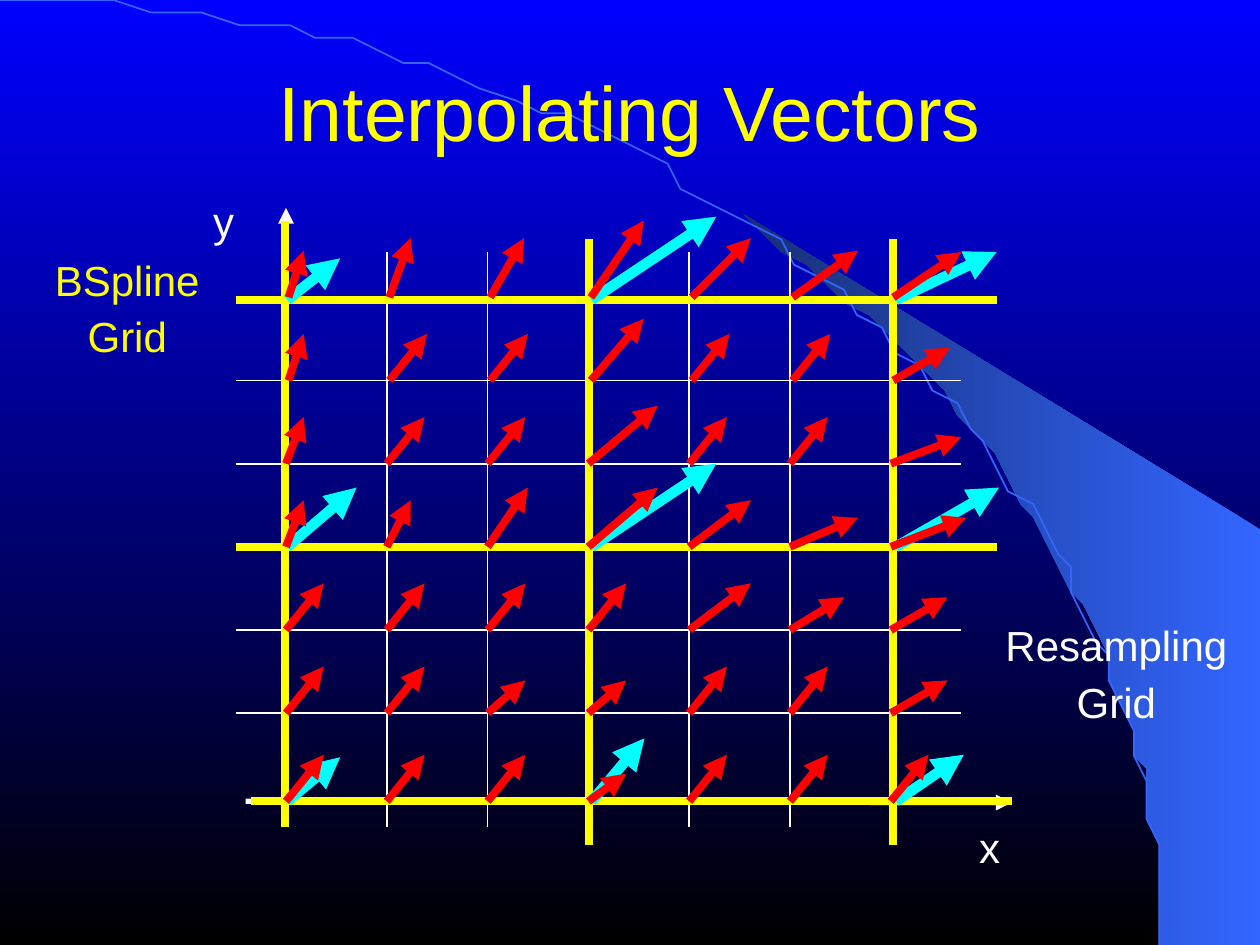
import math
from lxml import etree
from pptx import Presentation, util as u
from pptx.dml.color import RGBColor
from pptx.enum import shapes, text
from pptx.oxml import ns

WIDTH, HEIGHT = 100, 75
UNIT = u.Inches(10) / WIDTH
WHITE, YELLOW, CYAN, RED, BLUE = "FFFFFF", "FFFF00", "00FFFF", "FF0000", "3366FF"
SHORT, FLAT, LOW = (3, 3.7), (4.5, 2.6), (3, 2.6)

SAMPLES = [
    [(1.2, 3.7), (1.7, 4.7), (2.7, 4.7), (4.2, 6.1), (4.7, 4.7), (5.2, 3.7), (5.4, 3.6)],
    [(1.2, 3.7), SHORT, SHORT, (4.2, 4.9), SHORT, SHORT, FLAT],
    [(1.4, 3.7), SHORT, SHORT, (5.5, 4.6), SHORT, SHORT, (5.6, 2.1)],
    [(1.4, 3.7), (1.9, 3.7), (3.2, 4.7), (5.5, 4.7), (4.9, 3.7), (5.4, 2.3), (6, 2.3)],
    [SHORT, SHORT, SHORT, SHORT, (4.9, 3.7), (4.3, 2.6), FLAT],
    [SHORT, SHORT, LOW, LOW, SHORT, SHORT, FLAT],
    [SHORT, SHORT, SHORT, (3, 2.2), SHORT, SHORT, SHORT],
]
CONTROLS = [
    [(4.2, 3.3), (9.9, 6.6), (8, 3.8)],
    [(5.5, 4.7), (9.9, 6.6), (8.2, 4.7)],
    [(4.2, 3.5), (4.2, 5), (5.4, 3.7)],
]


def length(n):
    return u.Emu(round(n * UNIT))


def rgb(color):
    return RGBColor.from_string(color)


def gradient(fill, start, end, angle):
    fill.gradient()
    fill.gradient_angle = angle
    for stop, color in zip(fill.gradient_stops, (start, end)):
        stop.color.rgb = rgb(color)


def add_text(s, box, lines, size=24, color=WHITE, spacing=None, before=0, margins=(1, 0.5),
             anchor=text.MSO_ANCHOR.TOP):
    tf = s.shapes.add_textbox(*map(length, box)).text_frame
    tf.word_wrap = True
    tf.vertical_anchor = anchor
    tf.margin_left = tf.margin_right = length(margins[0])
    tf.margin_top = tf.margin_bottom = length(margins[1])
    for i, line in enumerate(lines):
        p = tf.add_paragraph() if i else tf.paragraphs[0]
        p.alignment = text.PP_ALIGN.CENTER
        p.line_spacing = spacing
        p.space_before = u.Pt(before)
        r = p.add_run()
        r.text = line
        r.font.name, r.font.size = "Arial", u.Pt(size)
        r.font.color.rgb = rgb(color)


def add_line(s, start, end, color, width, arrow=False):
    c = s.shapes.add_connector(shapes.MSO_CONNECTOR.STRAIGHT, *map(length, (*start, *end)))
    c.line.color.rgb = rgb(color)
    c.line.width = u.Pt(width)
    if arrow:
        etree.SubElement(c.line._get_or_add_ln(), ns.qn("a:tailEnd"), type="triangle")
    etree.SubElement(c._element.spPr, ns.qn("a:effectLst"))


def add_vector(s, x, y, vector, color, width):
    dx, dy = vector
    add_line(s, (x, y), (x + dx, y - dy), color, width, arrow=True)


def add_outline(s, points, close):
    builder = s.shapes.build_freeform(*points[0], scale=UNIT)
    builder.add_line_segments(points[1:], close=close)
    sp = builder.convert_to_shape()
    sp.shadow.inherit = False
    return sp


def backdrop(s, box):
    x, y, w, h = box

    def arc(degrees, steps):
        angles = [math.radians(degrees * i / steps) for i in range(steps + 1)]
        return [(x + w * math.cos(a), y + h * (1 - math.sin(a))) for a in angles]

    gradient(s.background.fill, "0000FF", "000000", 270)
    edge = arc(50.2, 34)
    beam = add_outline(s, edge + [(99.9, 42.3), (99.9, y + h)], True)
    gradient(beam.fill, BLUE, "172F75", 180)
    beam.line.fill.background()
    curve = add_outline(s, arc(90, 62), False)
    curve.fill.background()
    curve.line.color.rgb = rgb(BLUE)
    curve.line.width = u.Pt(1)


def resampling_grid(s, box):
    x, y, w, h = box
    right, bottom = x + w, y + h
    add_line(s, (x, bottom + 2), (x, y - 7.1), WHITE, 3, arrow=True)
    add_line(s, (x - 3.2, bottom), (right + 9.6, bottom + 0.1), WHITE, 3, arrow=True)
    columns, rows = nodes(box)
    for row in rows[:-1]:
        add_line(s, (x - 4, row), (right + 5.6, row), WHITE, 1)
    for column in columns[1:]:
        add_line(s, (column, y - 3.6), (column, bottom + 2), WHITE, 1)


def nodes(box):
    x, y, w, h = box
    rows = [y + h * 0.165 * i for i in range(6)] + [y + h]
    return [x + w * i / 6 for i in range(7)], rows


def spline_grid(s, box):
    x, y, w, h = box
    columns = [x - 0.1 + (w + 0.3) * i / 2 for i in range(3)]
    rows = [y + 0.2, nodes(box)[1][3], y + h]
    for i, column in enumerate(columns):
        top, bottom = (-6.1, 2) if i == 0 else (-4.6, 3.5)
        add_line(s, (column, y + top), (column, y + h + bottom), YELLOW, 4.5)
    for i, row in enumerate(rows):
        left, right = (-2.8, 9.6) if i == 2 else (-4, 8.4)
        add_line(s, (x + left, row), (x + w + right, row), YELLOW, 4.5)
    for row, vectors in zip(rows, CONTROLS):
        for column, vector in zip(columns, vectors):
            add_vector(s, column + 0.2, row, vector, CYAN, 6)


def sample_vectors(s, box):
    columns, rows = nodes(box)
    for i, (row, vectors) in enumerate(zip(rows, SAMPLES)):
        shift = 0.2 if i < 2 else 0
        for column, vector in zip(columns, vectors):
            add_vector(s, column + shift, row, vector, RED, 4.5)


def labels(s, box):
    x, y, w, h = box
    for name, left, top in (("y", x - 6.8, y - 7.8), ("x", x + w + 6, y + h + 1.9)):
        add_text(s, (left, top, 3.7, 4.2), [name], spacing=0.8, before=15)
    add_text(s, (x - 20.3, y - 2.5, 15.4, 7.9), ["BSpline", "Grid"], color=YELLOW,
             spacing=0.6, before=15)
    add_text(s, (x + w + 8, y + 26.5, 19.8, 7.9), ["Resampling", "Grid"],
             spacing=0.6, before=15)


def main():
    prs = Presentation()
    prs.slide_width, prs.slide_height = length(WIDTH), length(HEIGHT)
    s = prs.slides.add_slide(prs.slide_layouts[6])
    plot = (22.7, 23.6, 48, 40)
    backdrop(s, (0, 0, 92, 74.9))
    add_text(s, (7.5, 1.2, 85, 15.1), ["Interpolating Vectors"], size=44, color=YELLOW,
             margins=(0, 0), anchor=text.MSO_ANCHOR.MIDDLE)
    for region in (resampling_grid, spline_grid, labels, sample_vectors):
        region(s, plot)
    prs.save("out.pptx")


if __name__ == "__main__":
    main()
